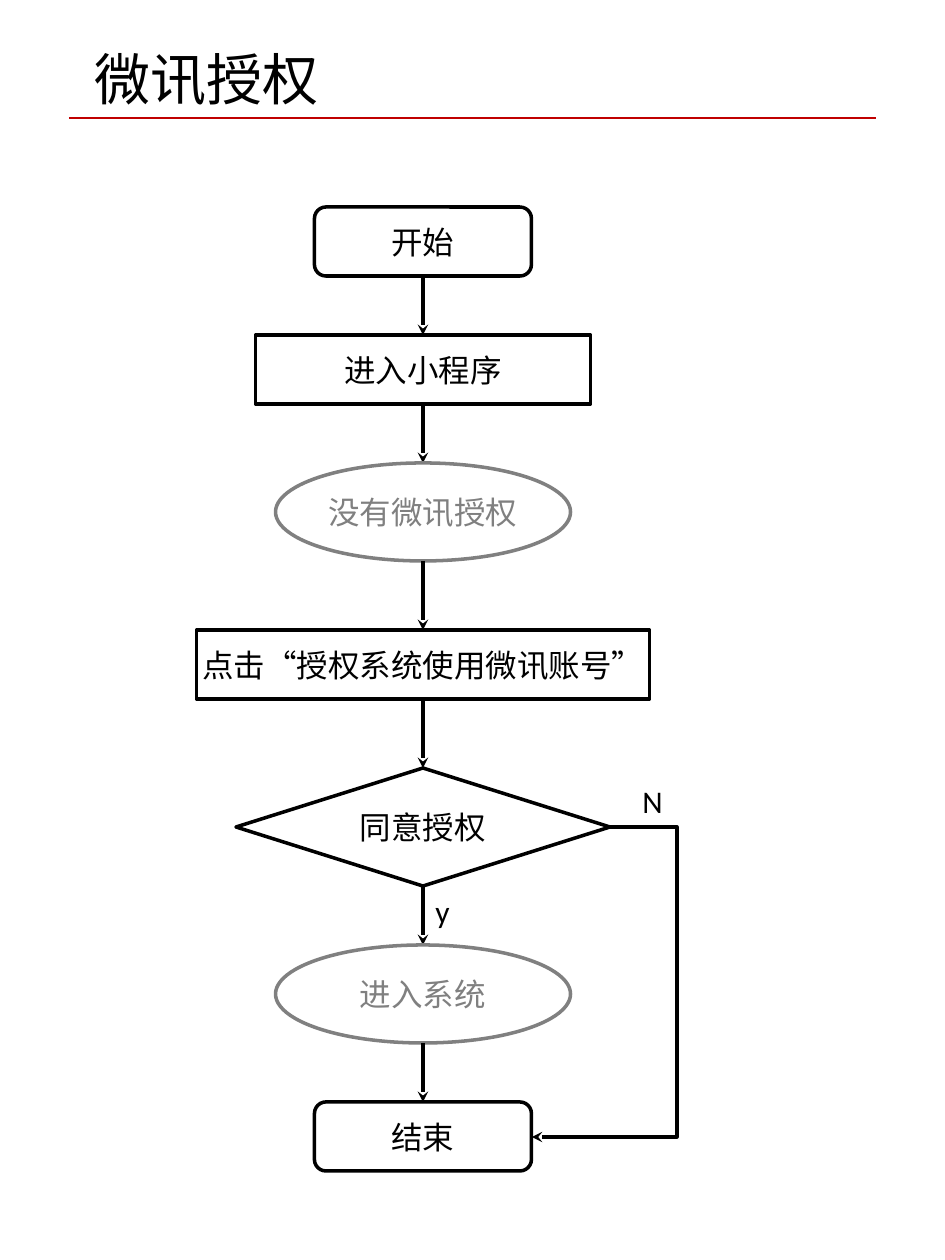
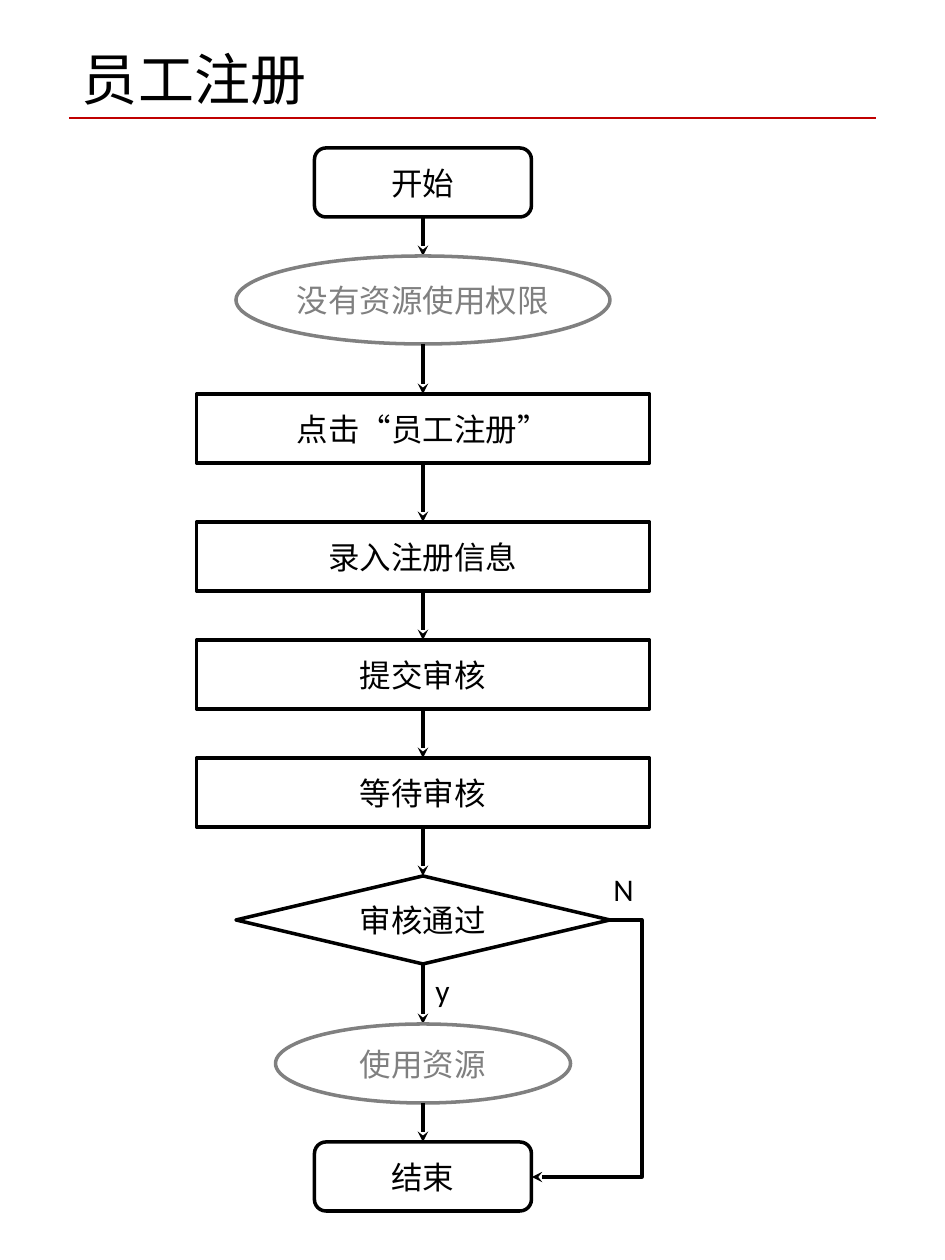
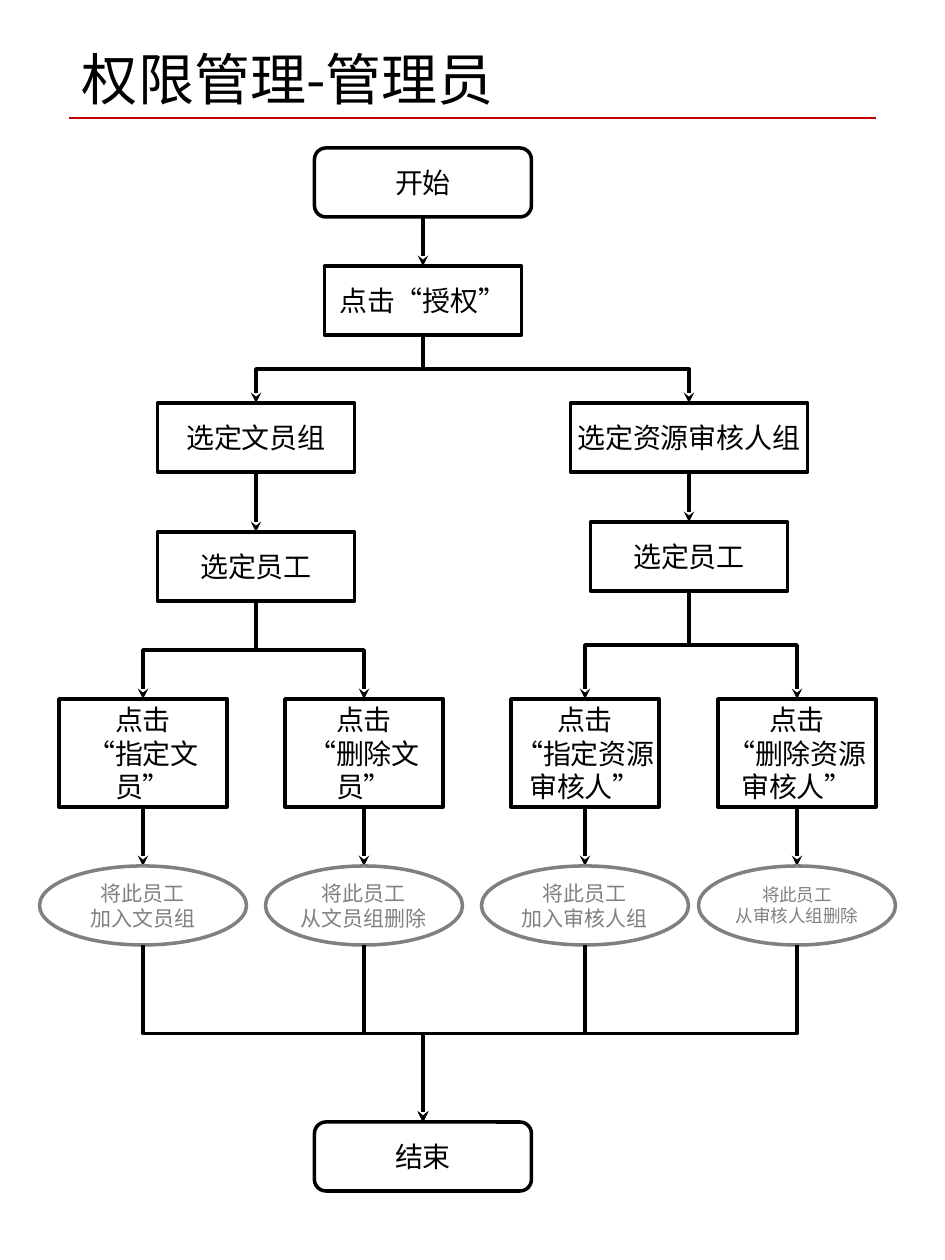
from lxml.etree import SubElement
from pptx import Presentation
from pptx.dml.color import RGBColor
from pptx.enum.shapes import MSO_CONNECTOR, MSO_SHAPE
from pptx.enum.text import MSO_ANCHOR, MSO_AUTO_SIZE, PP_ALIGN
from pptx.oxml.ns import qn
from pptx.util import Pt

BLACK = RGBColor(0x00, 0x00, 0x00)
GREY = RGBColor(0x80, 0x80, 0x80)
RED = RGBColor(0xC0, 0x00, 0x00)
ROUND = MSO_SHAPE.ROUNDED_RECTANGLE
RECT = MSO_SHAPE.RECTANGLE
OVAL = MSO_SHAPE.OVAL
RHOMB = MSO_SHAPE.DIAMOND
STRAIGHT = MSO_CONNECTOR.STRAIGHT
ELBOW = MSO_CONNECTOR.ELBOW
MIDDLE = MSO_ANCHOR.MIDDLE
BOTTOM = MSO_ANCHOR.BOTTOM
CENTER = PP_ALIGN.CENTER
FIT = MSO_AUTO_SIZE.SHAPE_TO_FIT_TEXT
SANS, BODY, HEAD = "Arial", "Calibri", "Noto Sans CJK SC"
SCALE = 914400 // 126
AXIS = 423
TALL = 69


def emu(*sizes):
    return [round(size * SCALE) for size in sizes]


class Chart:
    """Draws flow charts in one style on the current slide."""

    def __init__(self):
        self.deck = Presentation()
        self.deck.slide_width, self.deck.slide_height = emu(945, 1260)

    def start(self, title, size, pad=13):
        self.size = size
        self.shapes = self.deck.slides.add_slide(self.deck.slide_layouts[6]).shapes
        self.line(STRAIGHT, (69, 118, 876, 118), RED, 1, False)
        frame = self.shapes.add_textbox(*emu(69, 10, 804, 108)).text_frame
        frame.word_wrap = True
        frame.vertical_anchor = BOTTOM
        frame.margin_left = emu(pad)[0]
        self.fill(frame, title, HEAD, 32, BLACK)

    def fill(self, frame, text, font, size, color, align=None):
        frame.text = text
        for para in frame.paragraphs:
            para.alignment = align
            para.font.name = font
            para.font.size = Pt(size)
            para.font.color.rgb = color

    def node(self, kind, text, mid, top, wide, tall=TALL, size=None):
        shape = self.shapes.add_shape(kind, *emu(mid - wide / 2, top, wide, tall))
        color = GREY if kind == OVAL else BLACK
        shape.shadow.inherit = False
        shape.fill.background()
        shape.line.color.rgb = color
        shape.line.width = Pt(2)
        frame = shape.text_frame
        frame.word_wrap = True
        frame.vertical_anchor = MIDDLE
        frame.margin_left = frame.margin_right = emu(1)[0]
        frame.margin_top = frame.margin_bottom = 0
        font = BODY if kind in (OVAL, RHOMB) else SANS
        self.fill(frame, text, font, size or self.size, color, CENTER)

    def label(self, text, left, top, wide):
        frame = self.shapes.add_textbox(*emu(left, top, wide, 50)).text_frame
        frame.word_wrap = False
        frame.auto_size = FIT
        self.fill(frame, text, BODY, self.size, BLACK)

    def line(self, kind, ends, color=BLACK, width=2, arrow=True):
        line = self.shapes.add_connector(kind, *emu(*ends))
        line.line.color.rgb = color
        line.line.width = Pt(width)
        props = line._element.spPr
        if arrow:
            SubElement(props.find(qn("a:ln")), qn("a:tailEnd"), type="stealth")
        SubElement(props, qn("a:effectLst"))
        return props

    def bend(self, x1, y1, x2, y2):
        """Run down, across and down again, as a turned elbow."""
        midx, midy = (x1 + x2) / 2, (y1 + y2) / 2
        right = x2 > x1
        half = (y2 - y1) / 2 * (-1 if right else 1)
        rise = abs(x2 - x1) / 2
        props = self.line(ELBOW, (midx - half, midy - rise, midx + half, midy + rise))
        props.find(qn("a:xfrm")).set("rot", str((270 if right else 90) * 60000))

    def detour(self, x1, y1, x2, y2, out):
        """Run out to the right, down and back to the left."""
        props = self.line(ELBOW, (x1, y1, x2, y2))
        ratio = round(-100000 * out / (x1 - x2))
        guides = props.find(qn("a:prstGeom")).find(qn("a:avLst"))
        SubElement(guides, qn("a:gd"), name="adj1", fmla=f"val {ratio}")

    def flow(self, mid, steps):
        """Stack nodes on one axis and join each to the next."""
        last = None
        for kind, text, top, wide, tall, *size in steps:
            if last:
                self.line(STRAIGHT, (mid, last, mid, top))
            self.node(kind, text, mid, top, wide, tall, *size)
            last = top + tall


chart = Chart()

chart.start("微讯授权", 18, 25)
chart.flow(AXIS, [
    (ROUND, "开始", 207, 217, TALL),
    (RECT, "进入小程序", 335, 335, TALL),
    (OVAL, "没有微讯授权", 463, 295, 98),
    (RECT, "点击“授权系统使用微讯账号”", 630, 453, TALL),
    (RHOMB, "同意授权", 768, 374, 118),
    (OVAL, "进入系统", 945, 295, 98),
    (ROUND, "结束", 1102, 217, TALL),
])
chart.detour(610, 827, 532, 1137, 67)
chart.label("N", 630, 776, 45)
chart.label("y", AXIS, 886, 40)

chart.start("员工注册", 18)
chart.flow(AXIS, [
    (ROUND, "开始", 148, 217, TALL),
    (OVAL, "没有资源使用权限", 256, 374, 88),
    (RECT, "点击“员工注册”", 394, 453, TALL),
    (RECT, "录入注册信息", 522, 453, TALL),
    (RECT, "提交审核", 640, 453, TALL),
    (RECT, "等待审核", 758, 453, TALL),
    (RHOMB, "审核通过", 876, 374, 88),
    (OVAL, "使用资源", 1024, 295, 79),
    (ROUND, "结束", 1142, 217, TALL),
])
chart.detour(610, 920, 532, 1177, 32)
chart.label("N", 601, 864, 45)
chart.label("y", AXIS, 965, 40)

chart.start("权限管理-管理员", 16)
chart.flow(AXIS, [
    (ROUND, "开始", 148, 217, TALL),
    (RECT, "点击“授权”", 266, 197, TALL),
])
chart.node(ROUND, "结束", AXIS, 1122, 217)
branches = [
    (256, "选定文员组", 197, 532, [
        (143, "指定文员", 168, "加入文员组", 207, 12),
        (364, "删除文员", 158, "从文员组删除", 197, 12),
    ]),
    (689, "选定资源审核人组", 237, 522, [
        (585, "指定资源审核人", 148, "加入审核人组", 207, 12),
        (797, "删除资源审核人", 158, "从审核人组删除", 197, 10),
    ]),
]
for mid, group, wide, top, leaves in branches:
    chart.bend(AXIS, 335, mid, 403)
    chart.flow(mid, [
        (RECT, group, 403, wide, TALL),
        (RECT, "选定员工", top, 197, TALL),
    ])
    for leaf, act, span, effect, girth, size in leaves:
        chart.bend(mid, top + TALL, leaf, 699)
        chart.flow(leaf, [
            (RECT, f"点击\n“{act}”", 699, span, 108),
            (OVAL, f"将此员工\n{effect}", 866, girth, 79, size),
        ])
        chart.bend(leaf, 945, AXIS, 1122)

chart.deck.save("out.pptx")
